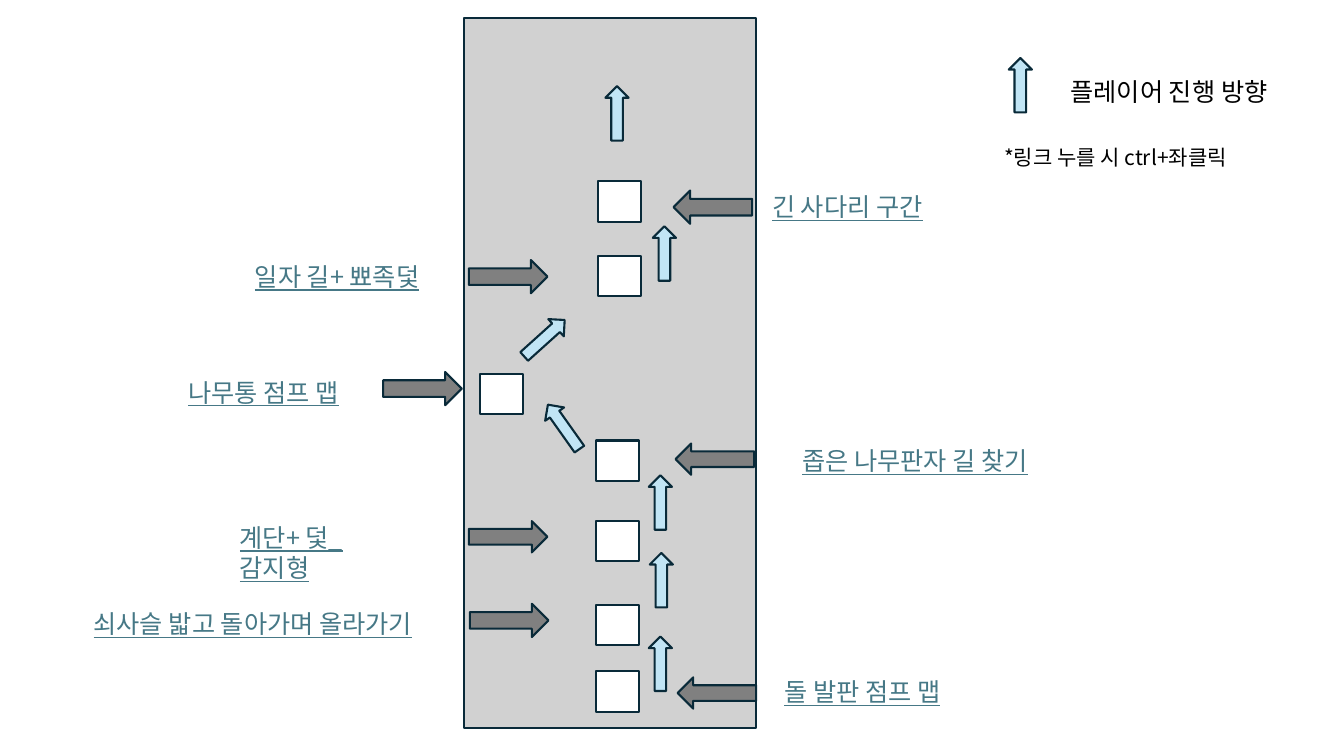
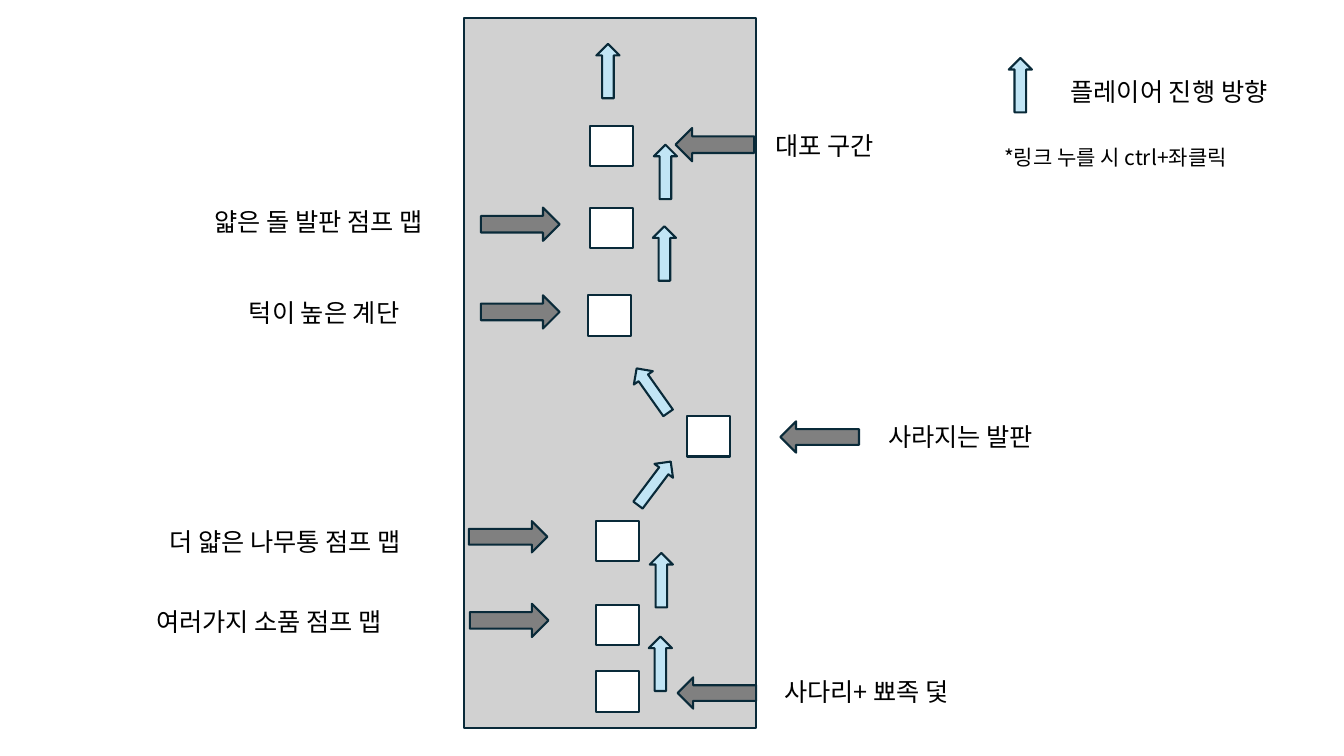
from lxml import etree
from pptx import Presentation
from pptx.dml.color import RGBColor
from pptx.enum.shapes import MSO_SHAPE
from pptx.enum.text import MSO_AUTO_SIZE
from pptx.oxml.ns import qn
from pptx.util import Emu, Pt

RECT, ARROW = MSO_SHAPE.RECTANGLE, MSO_SHAPE.RIGHT_ARROW
GROW = MSO_AUTO_SIZE.SHAPE_TO_FIT_TEXT
SCALE = 9144  # EMU per px, 100 px to the inch
UP, LEFT, RIGHT = 270, 180, 0


def px(n):
    return Emu(n * SCALE)


def rgb(value):
    return RGBColor.from_string(value)


class LevelMap:
    FONT = "Noto Sans CJK KR"
    OUTLINE, SHAFT, PLATFORM = "092A39", "D1D1D1", "FFFFFF"
    GUIDE, ROUTE = "808080", "C1E5F5"
    TEXT, LINK = "000000", "467886"

    def __init__(self, prs):
        self.prs = prs
        self.s = None

    def new_slide(self):
        self.s = self.prs.slides.add_slide(self.prs.slide_layouts[6])
        self.shape(RECT, 460, 18, 290, 704, self.SHAFT)

    def shape(self, kind, x, y, w, h, fill, angle=0):
        sp = self.s.shapes.add_shape(kind, px(x), px(y), px(w), px(h))
        sp.shadow.inherit = False
        sp.fill.solid()
        sp.fill.fore_color.rgb = rgb(fill)
        sp.line.color.rgb = rgb(self.OUTLINE)
        sp.line.width = Pt(1.5)
        sp.rotation = angle

    def platform(self, x, y):
        self.shape(RECT, x, y, 43, 40, self.PLATFORM)

    def guide(self, x, y, h, angle):
        self.shape(ARROW, x, y, 78, h, self.GUIDE, angle)

    def route(self, x, y, angle=UP):
        self.shape(ARROW, x, y, 54, 23, self.ROUTE, angle)

    def label(self, text, x, y, w, h=40, size=18, link=False, wrap=False):
        tf = self.s.shapes.add_textbox(px(x), px(y), px(w), px(h)).text_frame
        tf.word_wrap = wrap
        tf.auto_size = GROW
        r = tf.paragraphs[0].add_run()
        r.text = text
        r.font.size = Pt(size)
        r.font.color.rgb = rgb(self.LINK if link else self.TEXT)
        if link:
            r.font.underline = True
        r.font.name = self.FONT
        # Hangul takes the East Asian typeface
        ea = etree.SubElement(r.font._element, qn("a:ea"))
        ea.set("typeface", self.FONT)

    def legend(self):
        self.route(985, 73)
        self.label("플레이어 진행 방향", 1052, 71, 240)
        self.label("*링크 누를 시 ctrl+좌클릭", 986, 138, 271, 35, 15)


# Parts that stand at the same place on every slide
SHARED = {
    "guides": [(466, 599, 33, RIGHT), (672, 672, 31, LEFT),
               (465, 517, 31, RIGHT)],
    "platforms": [(591, 666), (591, 600), (591, 517)],
    "routes": [(628, 647), (629, 564), (632, 240)],
}

# Labels: text, x, y, width, wraps
LEVELS = [
    {
        "linked": True,
        "labels": [
            ("돌 발판 점프 맵", 768, 666, 207, False),
            ("쇠사슬 밟고 돌아가며 올라가기", 83, 599, 375, False),
            ("계단+ 덫_ 감지형", 228, 513, 190, True),
            ("좁은 나무판자 길 찾기", 786, 437, 274, False),
            ("나무통 점프 맵", 177, 369, 190, False),
            ("일자 길+ 뾰족덫", 243, 254, 207, False),
            ("긴 사다리 구간", 756, 185, 210, True),
        ],
        "guides": [(465, 258, 33, RIGHT), (380, 369, 33, RIGHT),
                   (670, 440, 31, LEFT), (668, 189, 33, LEFT)],
        "platforms": [(591, 437), (476, 371), (593, 254), (593, 180)],
        "routes": [(628, 487), (532, 412, 234.7), (513, 324, 318),
                   (585, 101)],
    },
    {
        "linked": False,
        "labels": [
            ("사다리+ 뾰족 덫", 768, 666, 207, False),
            ("여러가지 소품 점프 맵", 145, 597, 274, False),
            ("더 얇은 나무통 점프 맵", 158, 517, 291, True),
            ("사라지는 발판", 871, 413, 181, False),
            ("턱이 높은 계단", 237, 290, 190, False),
            ("얇은 돌 발판 점프 맵", 203, 200, 258, False),
            ("대포 구간", 759, 124, 210, True),
        ],
        "guides": [(477, 293, 33, RIGHT), (477, 206, 33, RIGHT),
                   (774, 418, 31, LEFT), (670, 127, 33, LEFT)],
        "platforms": [(681, 413), (583, 293), (585, 206), (585, 125)],
        "routes": [(622, 468, 307), (620, 376, 234.7), (633, 159),
                   (576, 59)],
    },
]


def main():
    prs = Presentation()
    prs.slide_width, prs.slide_height = px(1333), px(750)
    level_map = LevelMap(prs)
    for level in LEVELS:
        level_map.new_slide()
        for text, x, y, w, wrap in level["labels"]:
            level_map.label(text, x, y, w, link=level["linked"], wrap=wrap)
        for part, draw in (("guides", level_map.guide),
                           ("platforms", level_map.platform),
                           ("routes", level_map.route)):
            for place in SHARED[part] + level[part]:
                draw(*place)
        level_map.legend()
    prs.save("out.pptx")


if __name__ == "__main__":
    main()
